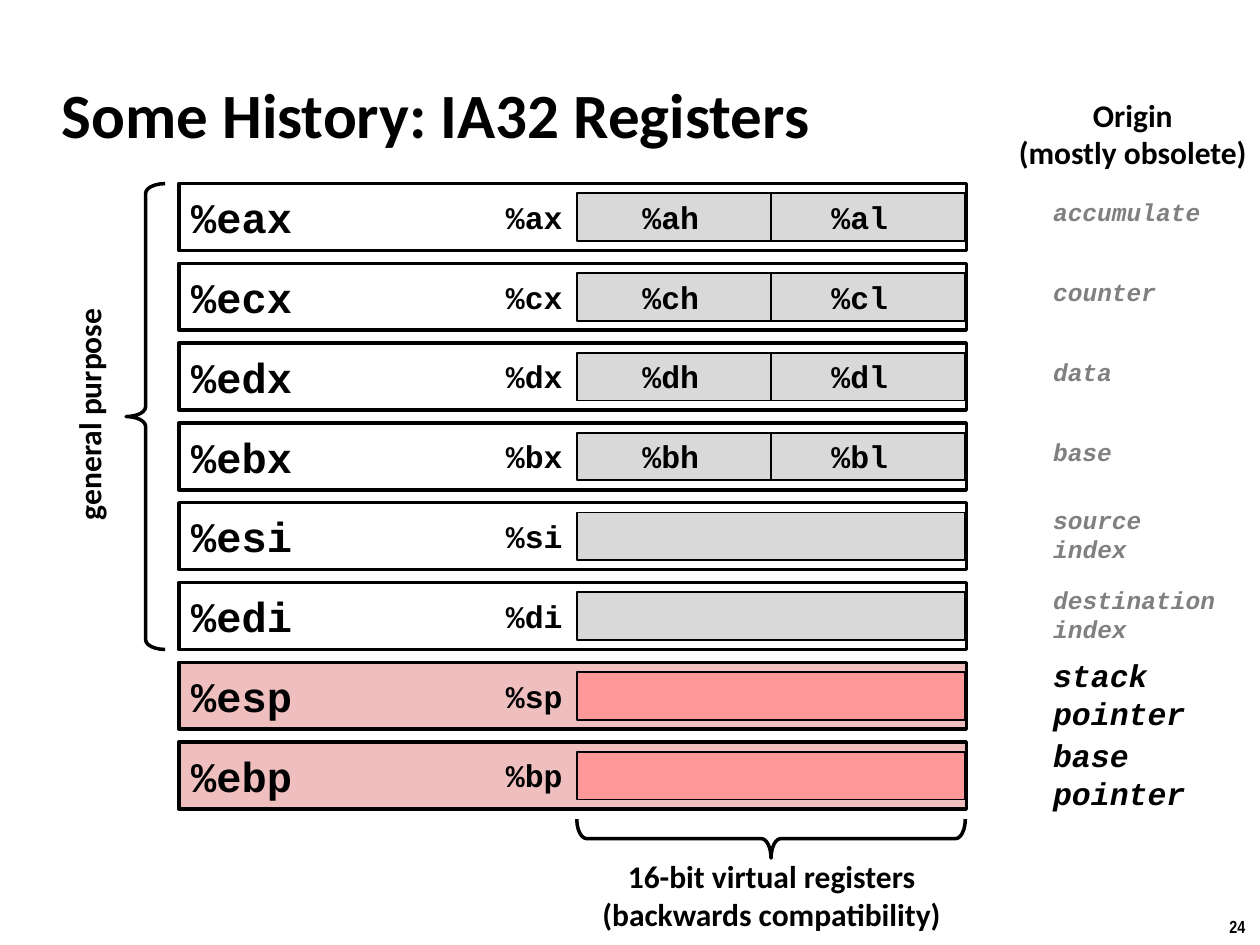
from dataclasses import dataclass

from lxml import etree
from pptx import Presentation
from pptx import util as u
from pptx.dml.color import RGBColor
from pptx.enum import shapes, text
from pptx.oxml.ns import qn

Pt = u.Pt
MONO, SANS = "Courier New", "Calibri"
BLACK, GRAY = "000000", "808080"
TOP, PITCH = 104.9, 45.6
REG_X, REG_W, REG_H = 102.2, 450, 38.2
LOW_X, LOW_W, LOW_H = 329.6, 222, 27.2
BRACE_W = 22.3


@dataclass
class Register:
    name: str
    origin: str
    halves: tuple = ()
    fill: str = "FFFFFF"
    low_fill: str = "D9D9D9"
    origin_size: float = 14
    origin_color: str = GRAY


@dataclass
class Label:
    words: str
    x: float
    y: float
    w: float
    h: float
    size: float = 18
    font: str = SANS
    color: str = BLACK
    italic: bool = False
    align: text.PP_ALIGN = text.PP_ALIGN.LEFT
    rotation: float = 0


POINTER = dict(fill="EFBFBF", low_fill="FF9999", origin_size=18, origin_color=BLACK)
REGISTERS = [
    Register("ax", "accumulate", ("ah", "al")),
    Register("cx", "counter", ("ch", "cl")),
    Register("dx", "data", ("dh", "dl")),
    Register("bx", "base", ("bh", "bl")),
    Register("si", "source\nindex"),
    Register("di", "destination\nindex"),
    Register("sp", "stack\npointer", **POINTER),
    Register("bp", "base\npointer", **POINTER),
]
CENTER = text.PP_ALIGN.CENTER
LABELS = [
    Label("Origin\n(mostly obsolete)", 574.6, 51.1, 145.4, 51, align=CENTER),
    Label("16-bit virtual registers\n(backwards compatibility)", 336.2, 486, 209.5, 51,
          align=CENTER),
    Label("general purpose", -17.3, 221.8, 136.1, 28.8, rotation=270),
    Label("24", 695.5, 519.8, 24.5, 19.4, size=10, font="Arial Narrow"),
]


def rgb(color: str) -> RGBColor:
    return RGBColor.from_string(color)


def write(tf, words: str, size: float, font: str, color: str = BLACK,
          italic: bool = False, align=text.PP_ALIGN.LEFT) -> None:
    """Fill a text frame, one paragraph a line."""
    tf.text = words
    values = {"size": Pt(size), "name": font, "bold": True, "italic": italic}
    for p in tf.paragraphs:
        p.alignment = align
        for r in p.runs:
            for key, value in values.items():
                setattr(r.font, key, value)
            r.font.color.rgb = rgb(color)


def add_label(s, label: Label) -> None:
    sp = s.shapes.add_textbox(Pt(label.x), Pt(label.y), Pt(label.w), Pt(label.h))
    sp.rotation = label.rotation
    sp.text_frame.word_wrap = False
    write(sp.text_frame, label.words, label.size, label.font, label.color,
          label.italic, label.align)


def add_code(s, words: str, x: float, y: float) -> None:
    add_label(s, Label(words, x, y, 46.8, 28.8, font=MONO))


def add_box(s, x: float, y: float, w: float, h: float, fill: str, line: float):
    sp = s.shapes.add_shape(shapes.MSO_SHAPE.RECTANGLE, Pt(x), Pt(y), Pt(w), Pt(h))
    sp.shadow.inherit = False
    sp.fill.solid()
    sp.fill.fore_color.rgb = rgb(fill)
    sp.line.color.rgb = rgb(BLACK)
    sp.line.width = Pt(line)
    return sp


def add_brace(s, cx: float, cy: float, length: float, rotation: float) -> None:
    """Draw a brace centred on a point."""
    sp = s.shapes.add_shape(shapes.MSO_SHAPE.RIGHT_BRACE, Pt(cx - BRACE_W / 2),
                            Pt(cy - length / 2), Pt(BRACE_W), Pt(length))
    sp.rotation = rotation
    sp.adjustments[0] = 0.25
    sp.shadow.inherit = False
    sp.fill.background()
    sp.line.color.rgb = rgb(BLACK)
    sp.line.width = Pt(2)


def add_divider(s, box) -> None:
    """Split a box from top middle to bottom middle."""
    c = s.shapes.add_connector(shapes.MSO_CONNECTOR.STRAIGHT, 0, 0, 0, 0)
    c.begin_connect(box, 0)
    c.end_connect(box, 2)
    c.line.color.rgb = rgb(BLACK)
    c.line.width = Pt(1)
    etree.SubElement(c._element.spPr, qn("a:effectLst"))


def add_origin(s, reg: Register, y: float) -> None:
    """Write where the name comes from, in a box a little wider than its longest line."""
    lines = reg.origin.split("\n")
    w = max(map(len, lines)) * reg.origin_size * 0.6 + 18
    h = len(lines) * reg.origin_size * 1.2 + 7.2
    top = y + 4.4 if len(lines) == 1 else y - 1 + (REG_H - h) / 2
    add_label(s, Label(reg.origin, 594.7, top, w, h, reg.origin_size, MONO,
                       reg.origin_color, italic=True))


def add_register(s, reg: Register, y: float) -> None:
    sp = add_box(s, REG_X, y, REG_W, REG_H, reg.fill, 2)
    sp.text_frame.vertical_anchor = text.MSO_ANCHOR.MIDDLE
    write(sp.text_frame, f"%e{reg.name}", 24, MONO)
    low = add_box(s, LOW_X, y + 5.6, LOW_W, LOW_H, reg.low_fill, 1)
    label_y = y + 4.6
    add_code(s, f"%{reg.name}", 282, label_y)
    if reg.halves:
        add_divider(s, low)
        for x, half in zip((360, 468), reg.halves):
            add_code(s, f"%{half}", x, label_y)
    add_origin(s, reg, y)


def add_title(s, words: str) -> None:
    sp = s.shapes.title
    place = {"left": 28, "top": 34.6, "width": 597.6, "height": 59.8}
    for key, value in place.items():
        setattr(sp, key, Pt(value))
    tf = sp.text_frame
    tf.auto_size = text.MSO_AUTO_SIZE.NONE
    tf.vertical_anchor = text.MSO_ANCHOR.MIDDLE
    write(tf, words, 36, SANS)


def main() -> None:
    prs = Presentation()
    prs.slide_width, prs.slide_height = Pt(720), Pt(540)
    s = prs.slides.add_slide(prs.slide_layouts[5])
    add_title(s, "Some History: IA32 Registers")
    for i, reg in enumerate(REGISTERS):
        add_register(s, reg, TOP + i * PITCH)
    general_h = 5 * PITCH + REG_H
    add_brace(s, 83.2, TOP + general_h / 2, general_h, 180)
    add_brace(s, LOW_X + LOW_W / 2, 479.2, LOW_W, 90)
    for label in LABELS:
        add_label(s, label)
    prs.save("out.pptx")


if __name__ == "__main__":
    main()
